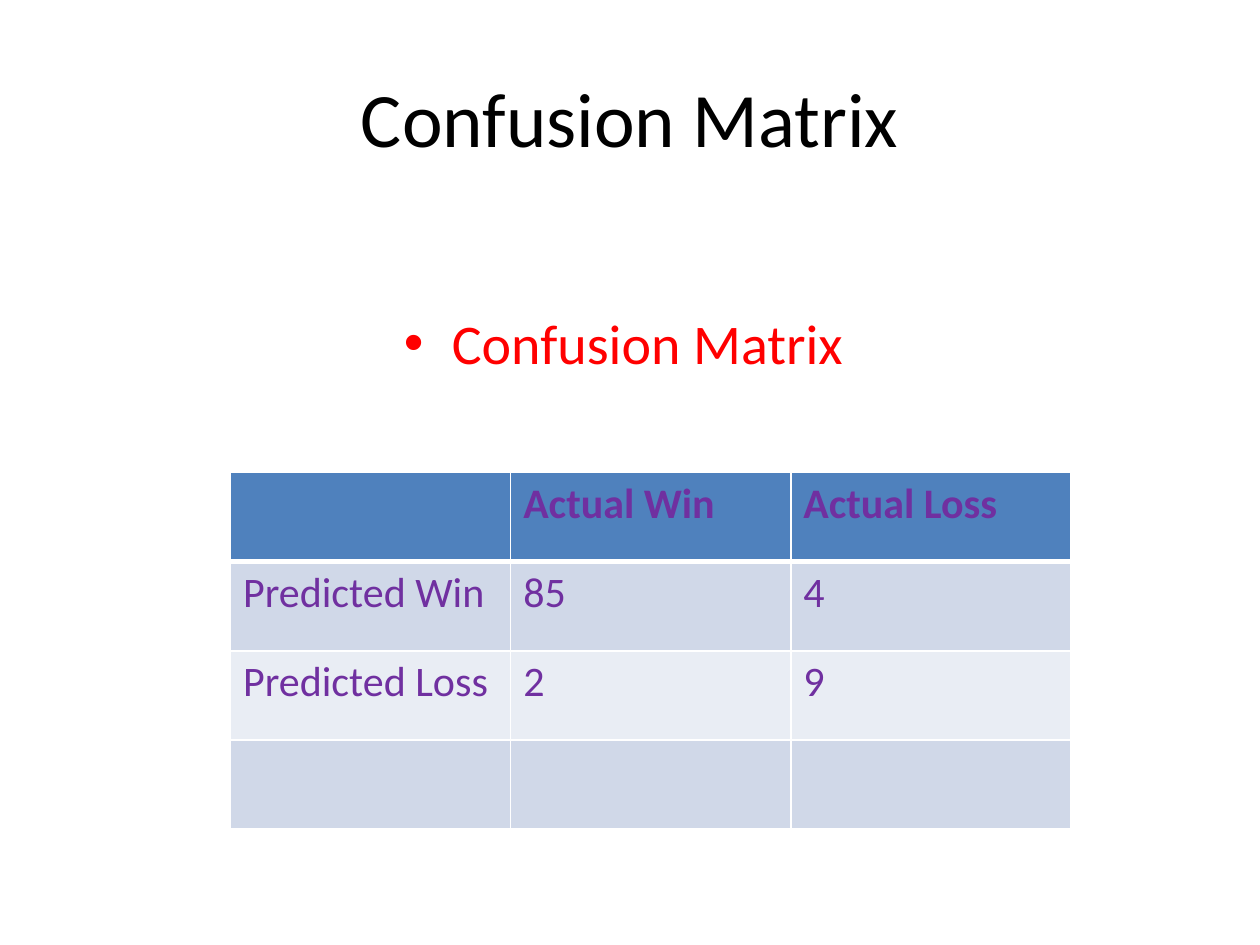
import pptx
import pptx.util
import pptx.dml.color
import pptx.enum.text
import pptx.oxml.ns
from lxml import etree

Inches = pptx.util.Inches
Pt = pptx.util.Pt
CENTER = pptx.enum.text.PP_ALIGN.CENTER
qn = pptx.oxml.ns.qn


def add_run(paragraph, text, size, color, bold=False):
    """Add one formatted run to a paragraph."""
    run = paragraph.add_run()
    run.text = text
    run.font.name = "Calibri"
    run.font.size = Pt(size)
    run.font.bold = bold
    run.font.color.rgb = pptx.dml.color.RGBColor.from_string(color)


def add_border(cell, side, width, color):
    """Draw one side (L, R, T or B) of a table cell."""
    line = etree.SubElement(cell._tc.get_or_add_tcPr(), qn(f"a:ln{side}"), w=str(Pt(width)))
    fill = etree.SubElement(line, qn("a:solidFill"))
    etree.SubElement(fill, qn("a:srgbClr"), val=color)


presentation = pptx.Presentation()
presentation.slide_width = Inches(10)
presentation.slide_height = Inches(7.5)
slide = presentation.slides.add_slide(presentation.slide_layouts[5])

title = slide.shapes.title
title.left, title.top, title.width, title.height = map(Inches, (0.5, 0.3, 9, 1.25))
title.text_frame.vertical_anchor = pptx.enum.text.MSO_ANCHOR.MIDDLE
title_paragraph = title.text_frame.paragraphs[0]
title_paragraph.alignment = CENTER
add_run(title_paragraph, "Confusion Matrix", 44, "000000")

# Bulleted heading above the table
body = slide.shapes.add_textbox(Inches(0.5), Inches(1.75), Inches(9), Inches(4.95))
body.text_frame.word_wrap = True
body.text_frame.margin_top = Inches(0.7)
heading = body.text_frame.paragraphs[0]
heading.alignment = CENTER
add_run(heading, "Confusion Matrix ", 32, "FF0000")
properties = heading._p.get_or_add_pPr()
properties.set("marL", str(Inches(0.38)))
properties.set("indent", str(Inches(-0.38)))
etree.SubElement(properties, qn("a:buFont"), typeface="Arial")
etree.SubElement(properties, qn("a:buChar"), char="•")

# Confusion matrix
rows = [
    ("", "Actual Win", "Actual Loss"),
    ("Predicted Win", "85", "4"),
    ("Predicted Loss", "2", "9"),
    ("", "", ""),
]
row_fills = ["4F81BD", "D0D8E8", "E9EDF4", "D0D8E8"]
table = slide.shapes.add_table(
    len(rows), 3, Inches(1.83), Inches(3.75), Inches(6.67), Inches(2.83)
).table

for row_index, (texts, row_fill) in enumerate(zip(rows, row_fills)):
    for column_index, text in enumerate(texts):
        cell = table.cell(row_index, column_index)
        for side in "LRTB":
            below_header = (row_index, side) in ((0, "B"), (1, "T"))
            add_border(cell, side, 3 if below_header else 1, "FFFFFF")
        cell.fill.solid()
        cell.fill.fore_color.rgb = pptx.dml.color.RGBColor.from_string(row_fill)
        if text:
            add_run(cell.text_frame.paragraphs[0], text, 24, "7030A0", row_index == 0)

presentation.save("out.pptx")
